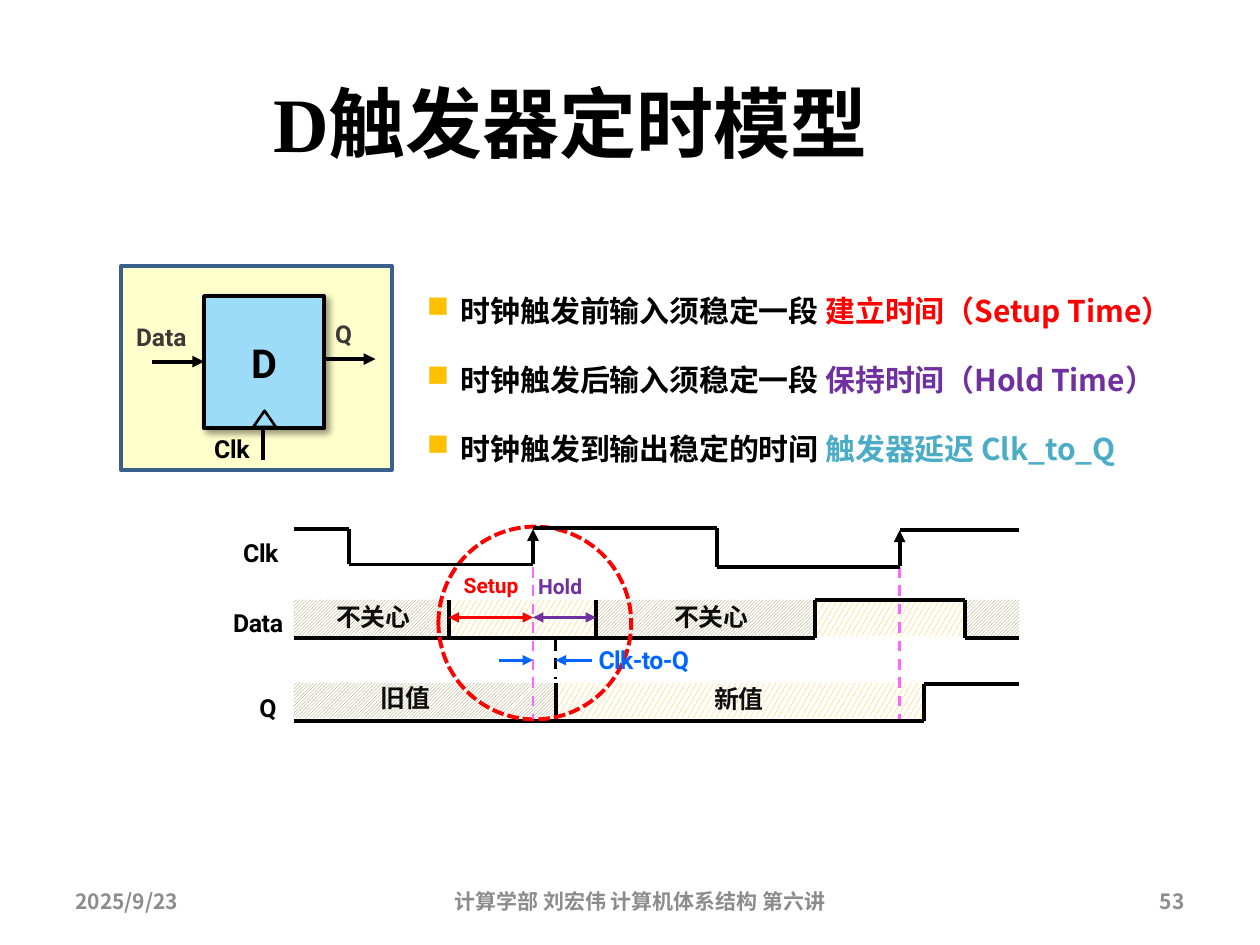
from itertools import pairwise

from lxml.etree import SubElement
from pptx import Presentation
from pptx.dml.color import RGBColor
from pptx.enum.dml import MSO_LINE, MSO_PATTERN
from pptx.enum.shapes import MSO_CONNECTOR, MSO_SHAPE
from pptx.enum.text import MSO_ANCHOR, MSO_AUTO_SIZE, PP_ALIGN
from pptx.oxml.ns import qn
from pptx.util import Inches, Pt

BLACK = RGBColor(0x00, 0x00, 0x00)
WHITE = RGBColor(0xFF, 0xFF, 0xFF)
INK = RGBColor(0x0D, 0x0D, 0x0D)
SOFT = RGBColor(0x3B, 0x38, 0x38)
GRAY = RGBColor(0x8C, 0x8C, 0x8C)
RED = RGBColor(0xFF, 0x00, 0x00)
PURPLE = RGBColor(0x70, 0x30, 0xA0)
TEAL = RGBColor(0x4B, 0xAC, 0xC6)
BLUE = RGBColor(0x00, 0x66, 0xFF)
PINK = RGBColor(0xFF, 0x66, 0xFF)
GOLD = RGBColor(0xFF, 0xC0, 0x00)
OLIVE = RGBColor(0x94, 0x8A, 0x54)
CREAM = RGBColor(0xFF, 0xFF, 0xCC)
SKY = RGBColor(0x9C, 0xDC, 0xF8)
STEEL = RGBColor(0x3A, 0x5F, 0x8C)
CHINESE, LATIN, SERIF = "Noto Sans CJK SC", "Roboto", "Times New Roman"
COLUMNS, ROWS = 100, 75


def apply(target, values):
    for name, value in values.items():
        setattr(target, name, value)


class Sheet:
    def __init__(self, deck):
        self.page = deck.slides.add_slide(deck.slide_layouts[6])
        self.column = deck.slide_width / COLUMNS
        self.row = deck.slide_height / ROWS
        self.label_frame = {
            "margin_left": 0, "margin_right": 0, "margin_top": 0, "margin_bottom": 0,
            "word_wrap": True, "auto_size": MSO_AUTO_SIZE.SHAPE_TO_FIT_TEXT,
        }
        self.middle_frame = {"word_wrap": True, "vertical_anchor": MSO_ANCHOR.MIDDLE}

    def place(self, *cells):
        return [round(cell * (self.row if index % 2 else self.column))
                for index, cell in enumerate(cells)]

    def span(self, para, text, color, size, font, tracking=0):
        span = para.add_run()
        span.text = text
        apply(span.font, {"name": font, "size": Pt(size), "bold": True})
        span.font.color.rgb = color
        properties = span.font._element
        SubElement(properties, qn("a:ea"), typeface=CHINESE)
        if tracking:
            properties.set("spc", str(tracking))

    def text(self, at, text, color, size, font, align=PP_ALIGN.LEFT):
        box = self.page.shapes.add_textbox(*self.place(*at))
        apply(box.text_frame, self.middle_frame)
        para = box.text_frame.paragraphs[0]
        para.alignment = align
        self.span(para, text, color, size, font)

    def label(self, left, top, width, text, color=BLACK, size=14.2, font=LATIN,
              tracking=0, spacing=14.8):
        box = self.page.shapes.add_textbox(*self.place(left, top, width, 2.1))
        apply(box.text_frame, self.label_frame)
        para = box.text_frame.paragraphs[0]
        para.line_spacing = Pt(spacing)
        self.span(para, text, color, size, font, tracking)

    def bullets(self, at, items):
        box = self.page.shapes.add_textbox(*self.place(*at))
        frame = box.text_frame
        frame.word_wrap = True
        for index, (lead, term, color) in enumerate(items):
            para = frame.add_paragraph() if index else frame.paragraphs[0]
            apply(para, {"line_spacing": 1.5, "space_before": Pt(4.3), "space_after": Pt(4.3)})
            properties = para._p.get_or_add_pPr()
            indent = Inches(0.27)
            properties.set("marL", str(indent))
            properties.set("indent", str(-indent))
            tint = SubElement(properties, qn("a:buClr"))
            SubElement(tint, qn("a:srgbClr"), val=str(GOLD))
            SubElement(properties, qn("a:buChar"), char="■")
            self.span(para, lead + " ", BLACK, 17.1, CHINESE)
            self.span(para, term, color, 17.1, CHINESE)

    def shape(self, kind, at, fill=None, line=None, weight=2.25, dash=None):
        shape = self.page.shapes.add_shape(kind, *self.place(*at))
        shape.shadow.inherit = False
        if fill is None:
            shape.fill.background()
        else:
            shape.fill.solid()
            shape.fill.fore_color.rgb = fill
        if line is None:
            shape.line.fill.background()
        else:
            shape.line.color.rgb = line
            apply(shape.line, {"width": Pt(weight), "dash_style": dash})
        return shape

    def hatch(self, left, top, right, bottom, pattern, color):
        shape = self.shape(MSO_SHAPE.RECTANGLE, (left, top, right - left, bottom - top))
        shape.fill.patterned()
        shape.fill.pattern = pattern
        shape.fill.fore_color.rgb = color
        shape.fill.back_color.rgb = WHITE

    def chip(self, at, text):
        shape = self.shape(MSO_SHAPE.RECTANGLE, at, SKY, BLACK)
        effects = shape._element.spPr.find(qn("a:effectLst"))
        shadow = SubElement(effects, qn("a:outerShdw"), blurRad=str(Pt(4)), dist=str(Pt(3)),
                            dir="2700000", algn="tl", rotWithShape="0")
        tint = SubElement(shadow, qn("a:srgbClr"), val=str(BLACK))
        SubElement(tint, qn("a:alpha"), val="40000")
        apply(shape.text_frame, self.middle_frame)
        para = shape.text_frame.paragraphs[0]
        para.alignment = PP_ALIGN.CENTER
        self.span(para, text, BLACK, 22.8, LATIN)

    def line(self, start, end, color=BLACK, weight=2.25, dash=None, tips=()):
        line = self.page.shapes.add_connector(MSO_CONNECTOR.STRAIGHT, *self.place(*start, *end))
        line.line.color.rgb = color
        apply(line.line, {"width": Pt(weight), "dash_style": dash})
        for tip in tips:
            SubElement(line.line._get_or_add_ln(), qn("a:" + tip), type="triangle")
        SubElement(line._element.spPr, qn("a:effectLst"))

    def trace(self, *points):
        for start, end in pairwise(points):
            self.line(start, end)


def draw_flip_flop(sheet):
    sheet.shape(MSO_SHAPE.RECTANGLE, (9.6, 21.1, 21.5, 16.2), CREAM, STEEL, 2)
    sheet.chip((16.2, 23.5, 9.5, 10.5), "D")
    sheet.shape(MSO_SHAPE.ISOSCELES_TRIANGLE, (20.1, 32.6, 1.8, 1.3), SKY, BLACK, 1.5)
    for left, right, row in ((12.1, 16.2, 28.7), (25.7, 29.8, 28.5)):
        sheet.line((left, row), (right, row), tips=("tailEnd",))
    sheet.line((20.9, 34), (20.9, 36.5))
    sheet.label(10.8, 25.8, 7, "Data", SOFT, 14)
    sheet.label(26.6, 25.6, 5, "Q", SOFT, 14)
    sheet.label(17, 34.7, 3.9, "Clk", tracking=-20)


def draw_waveforms(sheet):
    start, setup, edge, output, hold = 23.3, 35.6, 42.3, 44.1, 47.3
    rise, fall, next_edge, next_output, end = 64.7, 76.6, 71.4, 73.3, 80.9
    data_top, data_low, q_top, q_low = 47.6, 50.6, 54.2, 57.2
    stale = (MSO_PATTERN.LIGHT_UPWARD_DIAGONAL, OLIVE)
    valid = (MSO_PATTERN.LARGE_CONFETTI, GOLD)
    for left, right, look in ((start, setup, stale), (setup, hold, valid), (hold, rise, stale),
                              (rise, fall, valid), (fall, end, stale)):
        sheet.hatch(left, data_top, right, data_low - 0.1, *look)
    for left, right, look in ((start, output, stale), (output, next_output, valid)):
        sheet.hatch(left, q_top, right, q_low - 0.2, *look)

    sheet.trace((start, data_low), (rise, data_low), (rise, data_top),
                (fall, data_top), (fall, data_low), (end, data_low))
    sheet.trace((start, q_low), (next_output, q_low), (next_output, 54.3), (end, 54.3))
    for column, top, low in ((setup, data_top, data_low), (hold, data_top, data_low),
                             (output, q_top, q_low)):
        sheet.line((column, top), (column, low))

    sheet.shape(MSO_SHAPE.OVAL, (34.8, 41.8, 15.3, 15.3), line=RED, dash=MSO_LINE.SQUARE_DOT)
    sheet.line((output, 50.8), (output, 53.9), weight=1.5, dash=MSO_LINE.DASH)
    both = ("headEnd", "tailEnd")
    for left, right, row, color, tips in (
            (setup, edge, 49, RED, both), (edge, hold, 49, PURPLE, both),
            (39.6, edge, 52.4, BLUE, ("tailEnd",)), (output, 47, 52.4, BLUE, ("headEnd",))):
        sheet.line((left, row), (right, row), color, 1.5, tips=tips)
    for column in (edge, next_edge):
        sheet.line((column, 45), (column, 57.1), PINK, 1.5, MSO_LINE.DASH)

    sheet.trace((start, 42), (27.7, 42), (27.7, 44.8), (edge, 44.8))
    sheet.trace((edge, 41.9), (56.9, 41.9), (56.9, 45), (next_edge, 45))
    sheet.trace((next_edge, 42.1), (end, 42.1))
    for column, top in ((edge, 42), (next_edge, 42.1)):
        sheet.line((column, top), (column, top + 2.8), tips=("headEnd",))

    for left, top, text in ((19.3, 43, "Clk"), (18.5, 48.5, "Data"), (20.6, 55.3, "Q")):
        sheet.label(left, top, 4.7, text, tracking=-20)
    for left, top, text in ((26.7, 48.1, "不关心"), (53.5, 48.1, "不关心"),
                            (30.2, 54.5, "旧值"), (56.7, 54.6, "新值")):
        sheet.label(left, top, 7, text, INK, font=CHINESE, tracking=-10)
    sheet.label(36.8, 45.4, 5.2, "Setup", RED, 12)
    sheet.label(42.7, 45.5, 5.2, "Hold", PURPLE, 12)
    sheet.label(47.5, 51.2, 9.9, "Clk-to-Q", BLUE, tracking=-30, spacing=16.9)


def main():
    deck = Presentation()
    apply(deck, {"slide_width": Inches(10), "slide_height": Inches(7.5)})
    sheet = Sheet(deck)
    sheet.text((2.2, 2.4, 86.2, 14.5), "D触发器定时模型", BLACK, 44, SERIF, PP_ALIGN.CENTER)
    sheet.bullets((32.9, 21.3, 63.3, 15.7), (
        ("时钟触发前输入须稳定一段", "建立时间（Setup Time）", RED),
        ("时钟触发后输入须稳定一段", "保持时间（Hold Time）", PURPLE),
        ("时钟触发到输出稳定的时间", "触发器延迟 Clk_to_Q", TEAL),
    ))
    draw_flip_flop(sheet)
    draw_waveforms(sheet)
    for left, width, text, align in (
            (5, 23.3, "2025/9/23", PP_ALIGN.LEFT),
            (34.2, 33.2, "计算学部 刘宏伟 计算机体系结构 第六讲", PP_ALIGN.CENTER),
            (71.7, 23.3, "53", PP_ALIGN.RIGHT)):
        sheet.text((left, 69.5, width, 4), text, GRAY, 12, CHINESE, align)
    deck.save("out.pptx")


if __name__ == "__main__":
    main()
